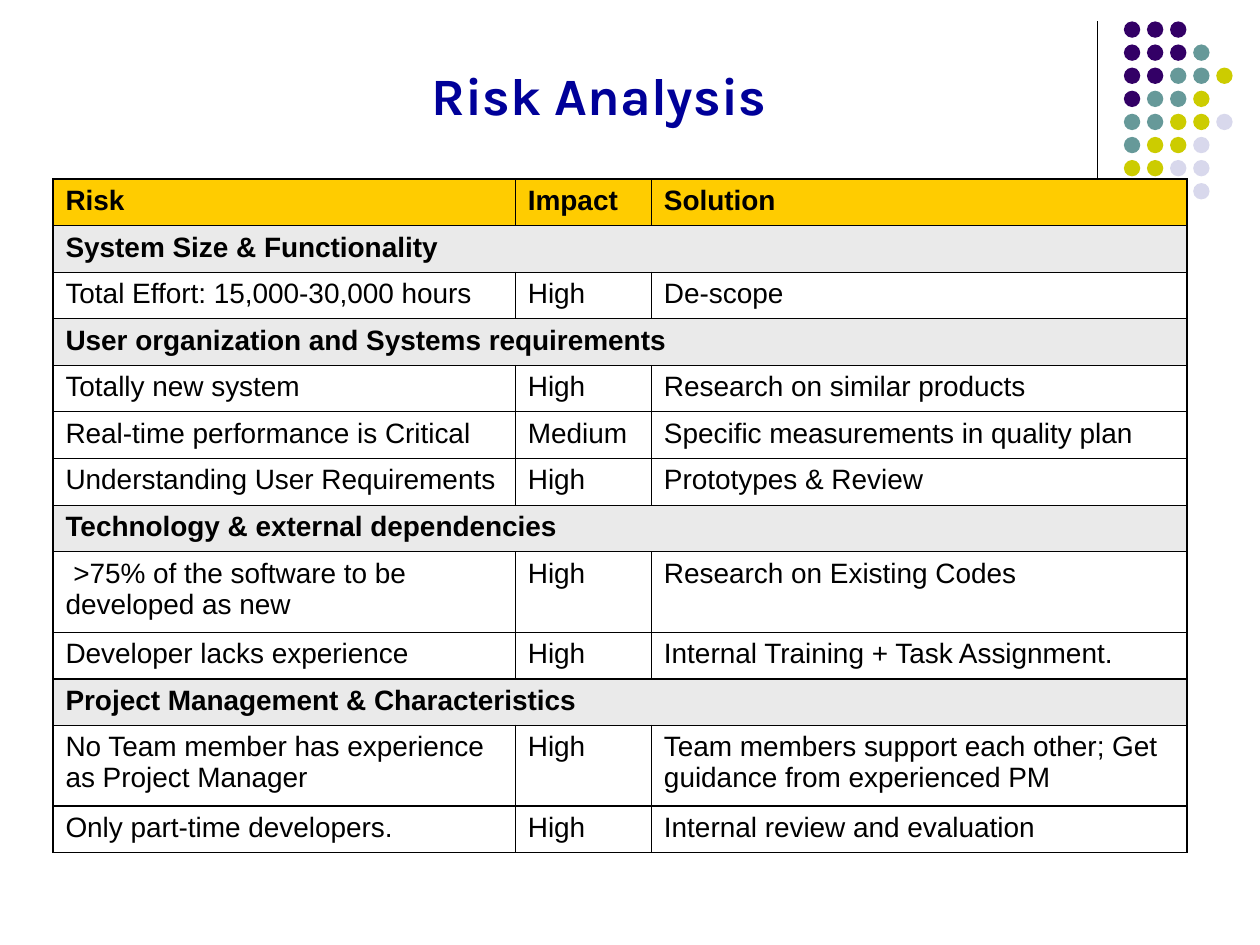
from lxml.etree import SubElement
from pptx import Presentation
from pptx.dml.color import RGBColor
from pptx.enum.shapes import MSO_CONNECTOR, MSO_SHAPE
from pptx.enum.text import MSO_ANCHOR
from pptx.oxml.ns import qn
from pptx.util import Inches, Pt

BLACK = RGBColor(0x00, 0x00, 0x00)
NAVY = RGBColor(0x00, 0x00, 0x99)
GOLD = RGBColor(0xFF, 0xCC, 0x00)
GREY = RGBColor(0xEA, 0xEA, 0xEA)
DOT_COLORS = {
    "P": RGBColor(0x33, 0x00, 0x66),
    "T": RGBColor(0x66, 0x99, 0x99),
    "Y": RGBColor(0xCC, 0xCC, 0x00),
    "L": RGBColor(0xD8, 0xD8, 0xEC),
}
DOT_ROWS = ["PPP", "PPPT", "PPTTY", "PTTY", "TTYYL", "TYYL", "YYLL", " L L"]
DOT_PITCH = 0.55 / 3
DOT_SIZE = 0.13

THIN, THICK = Pt(0.45), Pt(1.08)
COLUMN_WIDTHS = [3.67, 1.08, 4.25]
ROW_HEIGHT, TALL_ROW_HEIGHT = 0.37, 0.64
TALL_ROWS = {8, 11}
THICK_RULES = {0, 10, 11, 12, 13}
RISK_ROWS = [
    ("Risk", "Impact", "Solution"),
    ("System Size & Functionality",),
    ("Total Effort: 15,000-30,000 hours", "High", "De-scope"),
    ("User organization and Systems requirements",),
    ("Totally new system", "High", "Research on similar products"),
    ("Real-time performance is Critical", "Medium", "Specific measurements in quality plan"),
    ("Understanding User Requirements", "High", "Prototypes & Review"),
    ("Technology & external dependencies",),
    (" >75% of the software to be developed as new", "High", "Research on Existing Codes"),
    ("Developer lacks experience", "High", "Internal Training + Task Assignment."),
    ("Project Management & Characteristics",),
    ("No Team member has experience as Project Manager", "High",
     "Team members support each other; Get guidance from experienced PM"),
    ("Only part-time developers.", "High", "Internal review and evaluation"),
]


def write_text(frame, text, font="Arial", size=16, color=BLACK, bold=False):
    span = frame.paragraphs[0].add_run()
    span.text = text
    span.font.name = font
    span.font.size = Pt(size)
    span.font.color.rgb = color
    span.font.bold = bold


def add_rule(page):
    rule = page.shapes.add_connector(
        MSO_CONNECTOR.STRAIGHT, Inches(8.71), Inches(0.17), Inches(8.71), Inches(1.83))
    rule.line.color.rgb = BLACK
    rule.line.width = Pt(0.75)
    SubElement(rule.element.spPr, qn("a:effectLst"))


def add_dots(page):
    group = page.shapes.add_group_shape()
    for row, letters in enumerate(DOT_ROWS):
        for column, letter in enumerate(letters):
            if letter == " ":
                continue
            dot = group.shapes.add_shape(
                MSO_SHAPE.OVAL,
                Inches(8.92 + column * DOT_PITCH), Inches(0.17 + row * DOT_PITCH),
                Inches(DOT_SIZE), Inches(DOT_SIZE))
            dot.shadow.inherit = False
            dot.fill.solid()
            dot.fill.fore_color.rgb = DOT_COLORS[letter]
            dot.line.fill.background()


def add_title(page):
    box = page.shapes.add_textbox(Inches(3.33), Inches(0.42), Inches(3.17), Inches(0.63))
    box.text_frame.word_wrap = True
    box.text_frame.vertical_anchor = MSO_ANCHOR.BOTTOM
    write_text(box.text_frame, "Risk Analysis", font="Karla", size=30, color=NAVY, bold=True)


def set_borders(cell, **widths):
    properties = cell._tc.get_or_add_tcPr()
    for side in "LRTB":
        border = SubElement(properties, qn(f"a:ln{side}"), w=str(int(widths[side])))
        fill = SubElement(border, qn("a:solidFill"))
        SubElement(fill, qn("a:srgbClr"), val=str(BLACK))


def format_cell(cell, row, first, last, fill):
    set_borders(
        cell,
        L=THICK if first else THIN,
        R=THICK if last else THIN,
        T=THICK if row in THICK_RULES else THIN,
        B=THICK if row + 1 in THICK_RULES else THIN)
    if fill is None:
        cell.fill.background()
    else:
        cell.fill.solid()
        cell.fill.fore_color.rgb = fill


def add_risk_table(page):
    last_column = len(COLUMN_WIDTHS) - 1
    table = page.shapes.add_table(
        len(RISK_ROWS), len(COLUMN_WIDTHS),
        Inches(0.42), Inches(1.42), Inches(9), Inches(5.35)).table
    table.horz_banding = False
    for column, width in zip(table.columns, COLUMN_WIDTHS):
        column.width = Inches(width)
    for row, texts in enumerate(RISK_ROWS):
        table.rows[row].height = Inches(TALL_ROW_HEIGHT if row in TALL_ROWS else ROW_HEIGHT)
        section = len(texts) == 1
        fill = GOLD if row == 0 else GREY if section else None
        if section:
            table.cell(row, 0).merge(table.cell(row, last_column))
        for column in range(len(COLUMN_WIDTHS)):
            format_cell(table.cell(row, column), row, column == 0,
                        section or column == last_column, fill)
        for column, text in enumerate(texts):
            write_text(table.cell(row, column).text_frame, text, bold=fill is not None)


def main():
    deck = Presentation()
    deck.slide_width = Inches(10)
    deck.slide_height = Inches(7.5)
    page = deck.slides.add_slide(deck.slide_layouts[6])
    add_rule(page)
    add_dots(page)
    add_title(page)
    add_risk_table(page)
    deck.save("out.pptx")


if __name__ == "__main__":
    main()
